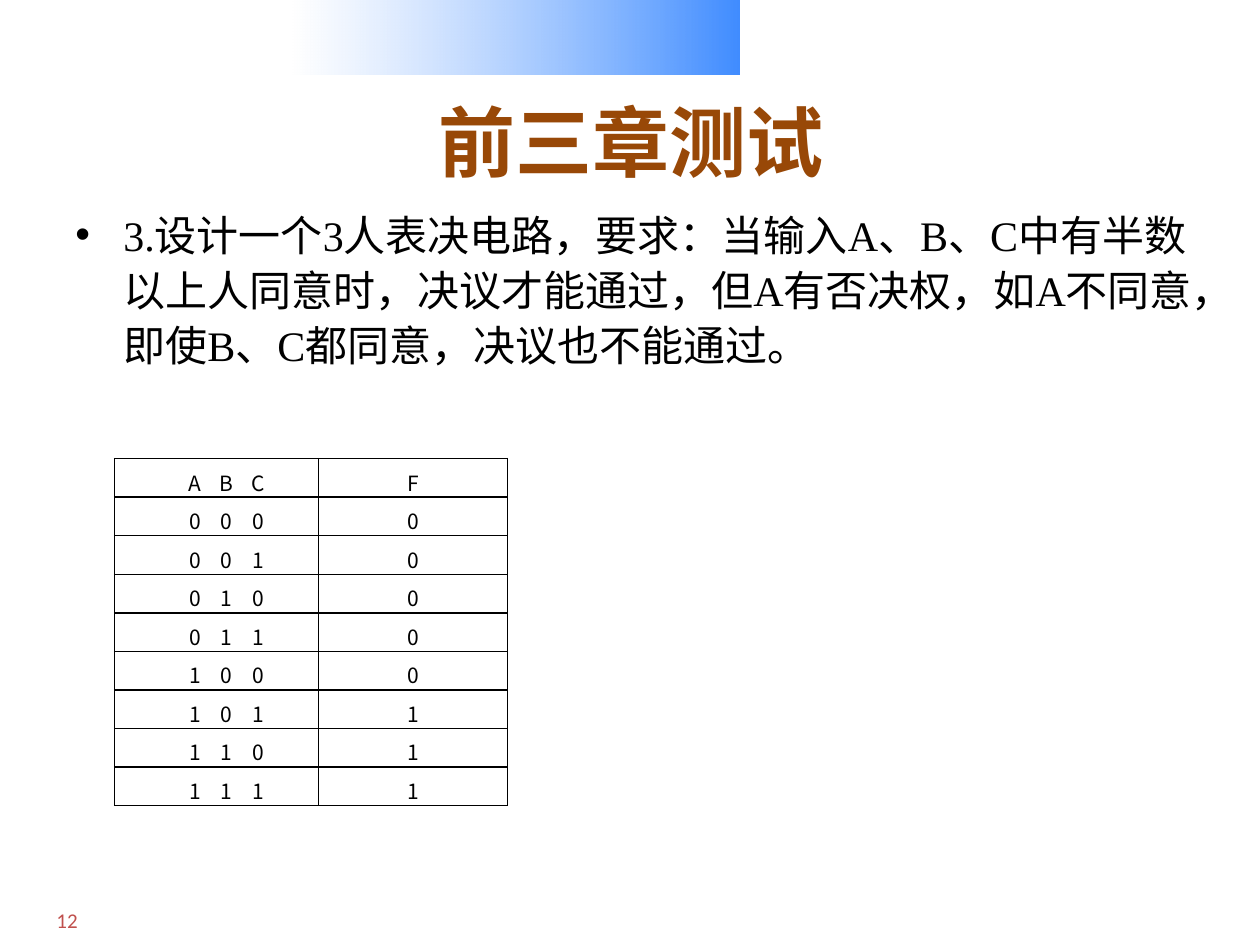
from dataclasses import dataclass
from itertools import product

from lxml.etree import SubElement
from pptx import Presentation
from pptx.dml.color import RGBColor
from pptx.enum.shapes import MSO_SHAPE as Shape
from pptx.enum.text import MSO_ANCHOR as Anchor, PP_ALIGN as Align
from pptx.oxml.ns import qn
from pptx.util import Inches, Pt


@dataclass(frozen=True)
class Theme:
    """Colours, fonts and type sizes of the slide."""

    white: str = "FFFFFF"
    blue: str = "0066FF"
    brown: str = "984807"
    red: str = "C0504D"
    black: str = "000000"
    serif: str = "Times New Roman"
    number_font: str = "Calibri"
    table_font: str = "Noto Sans CJK SC"
    title_size: int = 44
    body_size: int = 24
    small_size: int = 12


THEME = Theme()
TITLE = "前三章测试"
QUESTION = (
    "3.设计一个3人表决电路，要求：当输入A、B、C中有半数以上人同意时，决议才能通过，"
    "但A有否决权，如A不同意，即使B、C都同意，决议也不能通过。"
)
INPUT_STOPS = (0.57, 0.82, 1.07)


def style_font(paragraph, name, size, color, bold=False):
    """Set the font of a whole paragraph."""
    font = paragraph.font
    font.name, font.size, font.bold = name, Pt(size), bold
    font.color.rgb = RGBColor.from_string(color)


def add_text(slide, text, box, name, size, color, bold=False):
    """Add a wrapping text box and return its shape."""
    shape = slide.shapes.add_textbox(*map(Inches, box))
    shape.text_frame.word_wrap = True
    paragraph = shape.text_frame.paragraphs[0]
    paragraph.text = text
    style_font(paragraph, name, size, color, bold)
    return shape


def add_banner(slide):
    """Add the translucent gradient band at the top."""
    shape = slide.shapes.add_shape(
        Shape.RECTANGLE, Inches(2.32), 0, Inches(3.55), Inches(0.59)
    )
    shape.shadow.inherit = False
    shape.line.fill.background()
    shape.fill.gradient()
    shape.fill.gradient_angle = 0
    stops = ((0, THEME.white, 48), (1, THEME.blue, 75))
    for stop, (position, color, opacity) in zip(shape.fill.gradient_stops, stops):
        stop.position = position
        stop.color.rgb = RGBColor.from_string(color)
    colors = shape.element.spPr.iter(qn("a:srgbClr"))
    for element, (_, _, opacity) in zip(colors, stops):
        SubElement(element, qn("a:alpha"), val=str(opacity * 1000))


def add_title(slide):
    """Add the centred heading."""
    shape = add_text(slide, TITLE, (0.51, 0.68, 9, 0.87),
                     THEME.serif, THEME.title_size, THEME.brown, True)
    shape.text_frame.vertical_anchor = Anchor.MIDDLE
    shape.text_frame.paragraphs[0].alignment = Align.CENTER


def add_question(slide):
    """Add the bulleted exercise text."""
    shape = add_text(slide, QUESTION, (0.5, 1.57, 9.22, 5.8),
                     THEME.serif, THEME.body_size, THEME.black)
    paragraph = shape.text_frame.paragraphs[0]
    paragraph.line_spacing = 1.1
    paragraph.space_before = Pt(4.8)
    properties = paragraph._p.get_or_add_pPr()
    properties.set("marL", str(Inches(0.38)))
    properties.set("indent", str(Inches(-0.38)))
    SubElement(properties, qn("a:buFont"), typeface="Arial")
    SubElement(properties, qn("a:buChar"), char="•")


def add_borders(cell):
    """Draw a thin line on each side of a cell."""
    properties = cell._tc.get_or_add_tcPr()
    for side in ("lnL", "lnR", "lnT", "lnB"):
        line = SubElement(properties, qn(f"a:{side}"), w=str(Pt(1)))
        fill = SubElement(line, qn("a:solidFill"))
        SubElement(fill, qn("a:srgbClr"), val=THEME.black)


def fill_cell(cell, text):
    """Write and style one table cell."""
    add_borders(cell)
    cell.fill.background()
    cell.vertical_anchor = Anchor.MIDDLE
    cell.margin_left = cell.margin_right = Inches(0.07)
    cell.margin_top = cell.margin_bottom = 0
    paragraph = cell.text_frame.paragraphs[0]
    paragraph.text = text
    paragraph.line_spacing = Pt(22)
    style_font(paragraph, THEME.table_font, THEME.small_size, THEME.black)


def align_inputs(paragraph):
    """Line up the three inputs on centred tab stops."""
    paragraph.alignment = Align.LEFT
    tabs = SubElement(paragraph._p.get_or_add_pPr(), qn("a:tabLst"))
    paragraph._p.pPr.find(qn("a:defRPr")).addprevious(tabs)
    for stop in INPUT_STOPS:
        SubElement(tabs, qn("a:tab"), pos=str(Inches(stop)), algn="ctr")


def add_truth_table(slide):
    """Add the truth table of F = A(B + C)."""
    rows = [("A", "B", "C", "F")]
    rows += [(a, b, c, a & (b | c)) for a, b, c in product((0, 1), repeat=3)]
    table = slide.shapes.add_table(
        len(rows), 2, Inches(0.91), Inches(3.64), Inches(3.12), Inches(2.75)
    ).table
    table.first_row = table.horz_banding = False
    for column, width in zip(table.columns, (1.62, 1.5)):
        column.width = Inches(width)
    for index, (*inputs, output) in enumerate(rows):
        input_cell, output_cell = table.cell(index, 0), table.cell(index, 1)
        fill_cell(input_cell, "".join(f"\t{value}" for value in inputs))
        align_inputs(input_cell.text_frame.paragraphs[0])
        fill_cell(output_cell, str(output))
        output_cell.text_frame.paragraphs[0].alignment = Align.CENTER


def main():
    """Build and save the slide."""
    presentation = Presentation()
    presentation.slide_width, presentation.slide_height = Inches(10), Inches(7.5)
    slide = presentation.slides.add_slide(presentation.slide_layouts[6])
    add_banner(slide)
    add_text(slide, "12", (0.35, 7.15, 0.47, 0.3),
             THEME.number_font, THEME.small_size, THEME.red)
    add_title(slide)
    add_question(slide)
    add_truth_table(slide)
    presentation.save("out.pptx")


if __name__ == "__main__":
    main()
